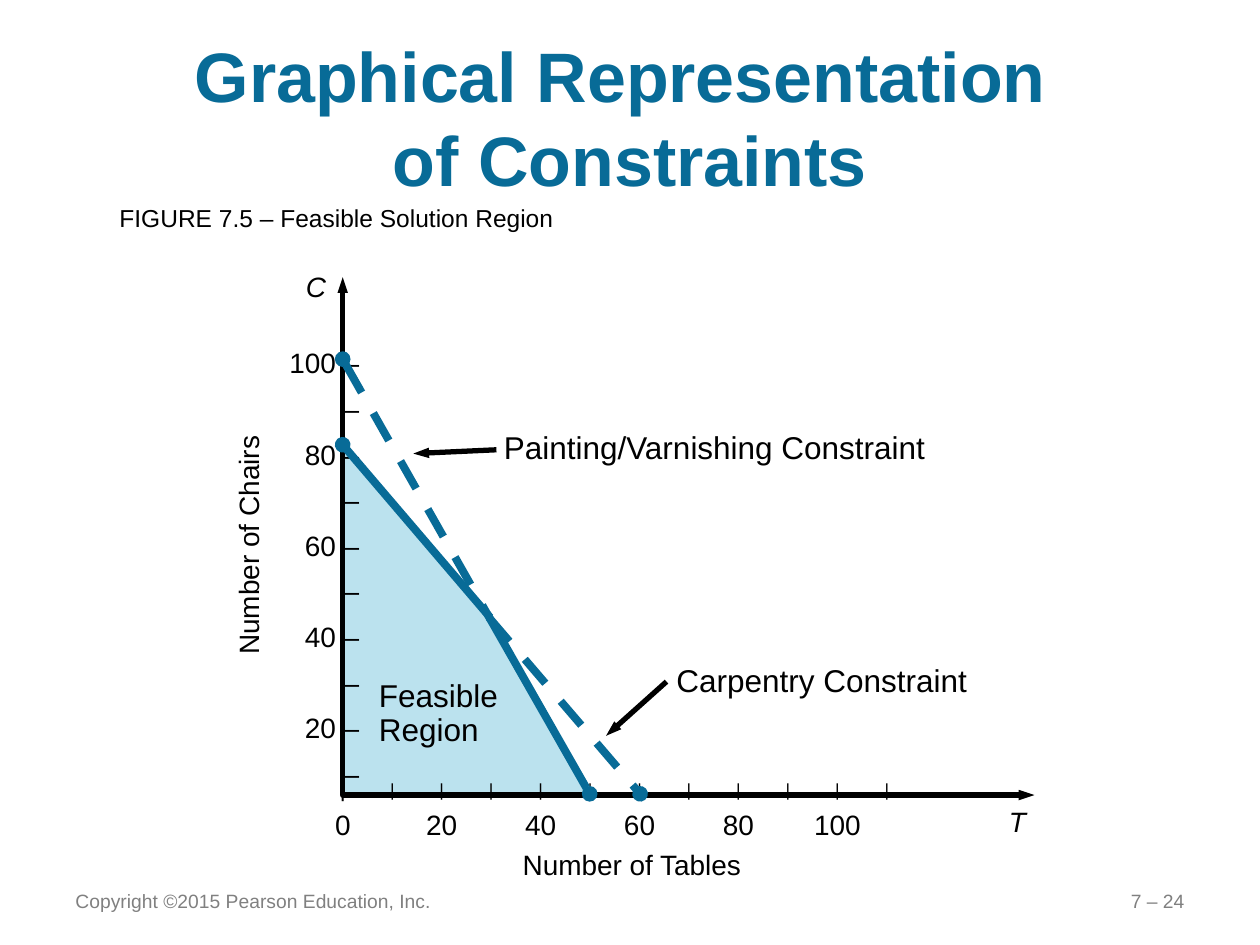
from lxml import etree
from pptx import Presentation
from pptx.dml.color import RGBColor
from pptx.enum.dml import MSO_LINE
from pptx.enum.shapes import MSO_CONNECTOR
from pptx.enum.text import MSO_ANCHOR, MSO_AUTO_SIZE, PP_ALIGN
from pptx.oxml.ns import qn
from pptx.util import Inches, Pt

STRAIGHT = MSO_CONNECTOR.STRAIGHT
DASH = MSO_LINE.DASH
MIDDLE, TOP = MSO_ANCHOR.MIDDLE, MSO_ANCHOR.TOP
FIT = MSO_AUTO_SIZE.SHAPE_TO_FIT_TEXT
LEFT, CENTER, RIGHT = PP_ALIGN.LEFT, PP_ALIGN.CENTER, PP_ALIGN.RIGHT
BLUE, PALE, BLACK, GRAY = "086B97", "BBE2EE", "000000", "808080"
ARROW, DOT = ("triangle", "sm", "med"), ("oval", "sm", "sm")


def rgb(hex_color):
    return RGBColor.from_string(hex_color)


class ConstraintSlide:
    """Holds the style and the current slide, and draws each kind of element."""

    font = "Arial"

    def __init__(self, slide):
        self.slide = slide

    def text(self, box, paragraphs, size, color=BLACK, align=LEFT, wrap=False,
             anchor=TOP, spacing=None, bold=None, italic=None, tabs=(), rotation=0):
        label = self.slide.shapes.add_textbox(*map(Inches, box))
        label.rotation = rotation
        frame = label.text_frame
        frame.word_wrap = wrap
        frame.vertical_anchor = anchor
        if anchor == TOP:
            frame.auto_size = FIT
        for index, runs in enumerate(paragraphs):
            paragraph = frame.add_paragraph() if index else frame.paragraphs[0]
            if tabs:
                stops = etree.SubElement(paragraph._p.get_or_add_pPr(), qn("a:tabLst"))
                for stop in tabs:
                    etree.SubElement(stops, qn("a:tab"), pos=str(Inches(stop)), algn="ctr")
            paragraph.alignment = align
            if spacing:
                paragraph.line_spacing = spacing
            for content, run_size in [(runs, size)] if isinstance(runs, str) else runs:
                for row, piece in enumerate(content.split("\n")):
                    if row:
                        paragraph.add_line_break()
                    run = paragraph.add_run()
                    run.text = piece
                    font = run.font
                    font.name, font.size = self.font, Pt(run_size)
                    font.bold, font.italic = bold, italic
                    font.color.rgb = rgb(color)

    def stroke(self, shape, color, width, head=None, tail=None, dash=None):
        shape.line.color.rgb = rgb(color)
        shape.line.width = Pt(width)
        if dash:
            shape.line.dash_style = dash
        outline = shape._element.spPr.find(qn("a:ln"))
        for tag, end in (("a:headEnd", head), ("a:tailEnd", tail)):
            if end:
                etree.SubElement(outline, qn(tag), dict(zip(("type", "w", "len"), end)))

    def line(self, start, finish, color, width, **ends):
        connector = self.slide.shapes.add_connector(
            STRAIGHT, *map(Inches, (*start, *finish)))
        self.stroke(connector, color, width, **ends)
        etree.SubElement(connector._element.spPr, qn("a:effectLst"))

    def outline(self, points, fill=None, close=True):
        corners = [tuple(map(Inches, point)) for point in points]
        builder = self.slide.shapes.build_freeform(*corners[0])
        builder.add_line_segments(corners[1:], close=close)
        shape = builder.convert_to_shape()
        shape.shadow.inherit = False
        if fill:
            shape.fill.solid()
            shape.fill.fore_color.rgb = rgb(fill)
            shape.line.fill.background()
        else:
            shape.fill.background()
        return shape


def main():
    deck = Presentation()
    deck.slide_width, deck.slide_height = Inches(10), Inches(7.5)
    page = ConstraintSlide(deck.slides.add_slide(deck.slide_layouts[6]))

    origin = (2.72, 6.31)
    carpentry_top = (2.72, 3.53)
    page.outline([carpentry_top, origin, (4.69, 6.31), (3.88, 4.89)], PALE)
    page.text((0.5, 0.3, 9, 1.25), ["Graphical Representation \nof Constraints"], 40,
              BLUE, CENTER, wrap=True, anchor=MIDDLE, bold=True)

    axes = page.outline([(2.72, 2.2), origin, (8.21, 6.31)], close=False)
    page.stroke(axes, BLACK, 3, head=ARROW, tail=ARROW)
    chair_ticks = [f"{value} –" if value % 20 == 0 else "–"
                   for value in range(100, 0, -10)]
    page.text((1.75, 2.6, 1.2, 3.94), chair_ticks, 16, align=RIGHT, spacing=1.36)
    page.text((2.33, 2.09, 0.43, 0.37), ["C"], 16, italic=True)
    table_ticks = [("\t", 16), ("|\t", 14), ("\t".join("|" * 11), 10)]
    table_values = "\t" + "\t\t".join(str(value) for value in range(0, 101, 20))
    page.text((2.23, 6.01, 4.94, 0.69), [table_ticks, table_values], 16, spacing=1.15,
              tabs=[0.3925 * step for step in range(1, 13)])
    page.text((7.91, 6.34, 0.4, 0.37), ["T"], 16, italic=True)
    page.text((0.99, 4.13, 1.96, 0.37), ["Number of Chairs"], 16, rotation=270)
    page.text((4.05, 6.68, 1.96, 0.37), ["Number of Tables"], 16)
    page.text((0.85, 1.56, 3.67, 0.34), ["FIGURE 7.5 – Feasible Solution Region"], 14)

    page.line(carpentry_top, (3.89, 4.9), BLUE, 4.5, head=DOT)
    page.line((3.88, 4.9), (5.08, 6.3), BLUE, 4.5, tail=DOT, dash=DASH)
    page.line((3.86, 4.86), (4.68, 6.3), BLUE, 4.5, tail=DOT)
    page.line((2.72, 2.85), (3.86, 4.86), BLUE, 4.5, head=DOT, dash=DASH)

    page.line((3.94, 3.57), (3.28, 3.6), BLACK, 3, tail=ARROW)
    page.text((3.9, 3.35, 3.58, 0.4), ["Painting/Varnishing Constraint"], 18)
    page.line((5.29, 5.41), (4.81, 5.84), BLACK, 3, tail=ARROW)
    page.text((5.27, 5.2, 2.53, 0.4), ["Carpentry Constraint"], 18)
    page.text((2.91, 5.35, 1.4, 0.65), ["Feasible Region"], 18, wrap=True, spacing=0.9)

    page.text((0.5, 6.95, 3.08, 0.4), ["Copyright ©2015 Pearson Education, Inc."], 11,
              GRAY, wrap=True, anchor=MIDDLE)
    page.text((7.17, 6.95, 2.33, 0.4), ["7 – 24"], 11, GRAY, RIGHT,
              wrap=True, anchor=MIDDLE)
    deck.save("out.pptx")


if __name__ == "__main__":
    main()
